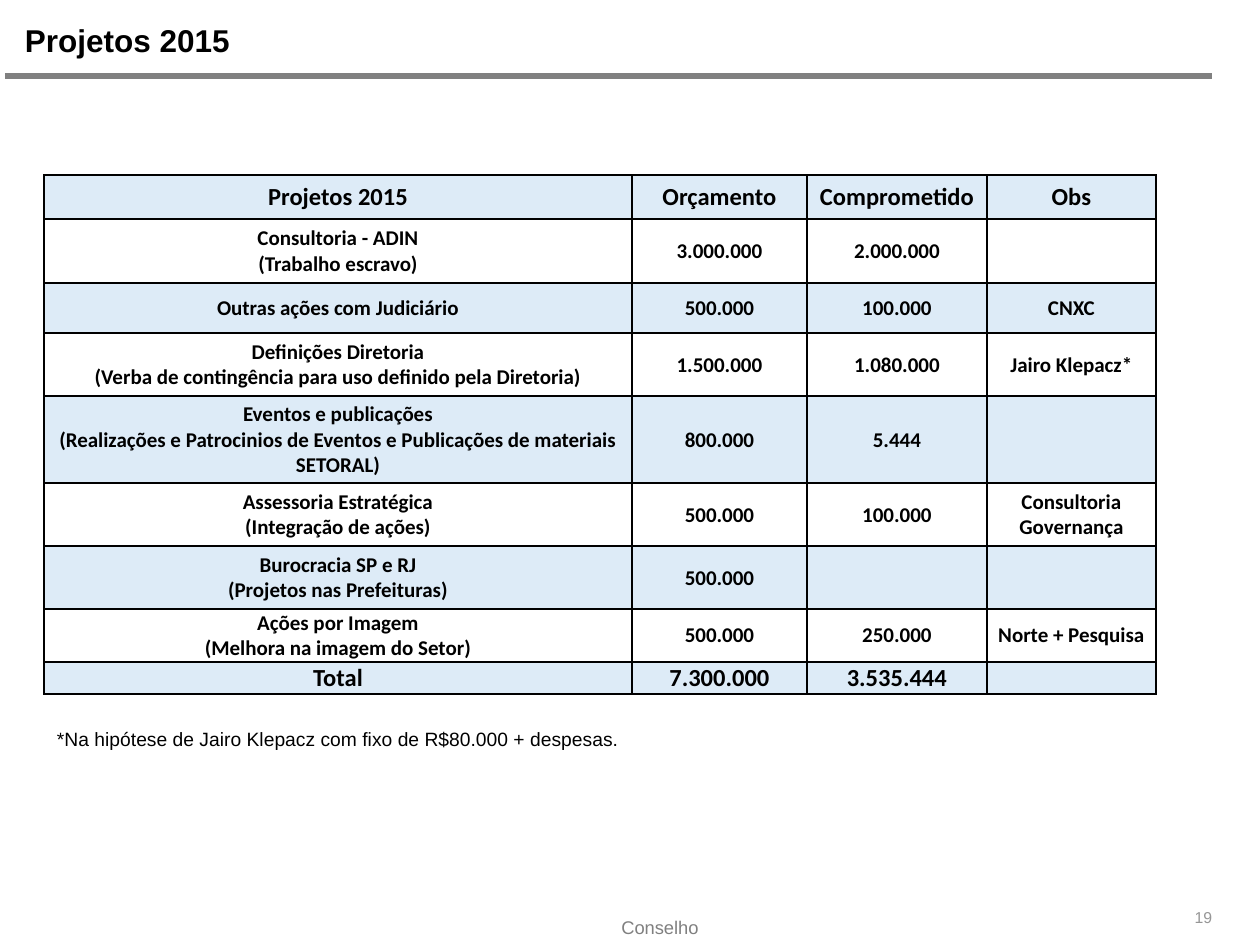
import pptx
import pptx.util
import pptx.dml.color
import pptx.enum.shapes
import pptx.enum.text
import pptx.oxml
import pptx.oxml.ns
from lxml import etree

RGB = pptx.dml.color.RGBColor
ALIGN = pptx.enum.text.PP_ALIGN
BLACK, WHITE = RGB(0, 0, 0), RGB(255, 255, 255)
GRAY, PALE = RGB(0x80, 0x80, 0x80), RGB(0x96, 0x96, 0x96)
BLUE = RGB(0xDD, 0xEB, 0xF7)

# Content; \v is a line break inside a paragraph
ROWS = [
    ("Projetos 2015", "Orçamento", "Comprometido", "Obs"),
    ("Consultoria - ADIN\v(Trabalho escravo)", "3.000.000", "2.000.000", ""),
    ("Outras ações com Judiciário", "500.000", "100.000", "CNXC"),
    ("Definições Diretoria\v(Verba de contingência para uso definido pela Diretoria)",
     "1.500.000", "1.080.000", "Jairo Klepacz*"),
    ("Eventos e publicações\v(Realizações e Patrocinios de Eventos e "
     "Publicações de materiais SETORAL)", "800.000", "5.444", ""),
    ("Assessoria Estratégica\v(Integração de ações)",
     "500.000", "100.000", "Consultoria Governança"),
    ("Burocracia SP e RJ\v(Projetos nas Prefeituras)", "500.000", "", ""),
    ("Ações por Imagem\v(Melhora na imagem do Setor)",
     "500.000", "250.000", "Norte + Pesquisa"),
    ("Total", "7.300.000", "3.535.444", ""),
]
WIDTHS = [588, 175, 180, 169]
HEIGHTS = [44, 64, 50, 63, 87, 63, 63, 53, 32]

# text, box, margins (side, top), size, colour, bold, alignment
TEXTS = [
    ("Projetos 2015", (25, 21, 1198, 44), (0, 0), 18, BLACK, True, ALIGN.LEFT),
    ("*Na hipótese de Jairo Klepacz com fixo de R$80.000 + despesas.",
     (44, 721, 893, 36), (13, 6), 11, BLACK, False, ALIGN.LEFT),
    ("19", (1007, 900, 218, 33), (13, 8), 9, PALE, False, ALIGN.RIGHT),
    ("Conselho", (551, 908, 218, 36), (13, 8), 10.5, GRAY, False, ALIGN.CENTER),
]


def px(n):
    return pptx.util.Emu(round(n * 914400 / 126))


def style(para, face, size, color, bold, align):
    para.alignment = align
    for run in para.runs:
        font = run.font
        font.name, font.size, font.bold = face, pptx.util.Pt(size), bold
        font.color.rgb = color


def border(cell):
    props = cell._tc.get_or_add_tcPr()
    for spot, side in enumerate(("lnL", "lnR", "lnT", "lnB")):
        props.insert(spot, pptx.oxml.parse_xml(
            f'<a:{side} {pptx.oxml.ns.nsdecls("a")} w="12700"><a:solidFill>'
            f'<a:srgbClr val="{BLACK}"/></a:solidFill></a:{side}>'))


deck = pptx.Presentation()
deck.slide_width, deck.slide_height = px(1260), px(945)
slide = deck.slides.add_slide(deck.slide_layouts[6])

# Rule under the title
rule = slide.shapes.add_connector(
    pptx.enum.shapes.MSO_CONNECTOR.STRAIGHT, px(5), px(76), px(1212), px(76))
rule.line.color.rgb = GRAY
rule.line.width = pptx.util.Pt(3.2)
etree.SubElement(rule._element.spPr, pptx.oxml.ns.qn("a:effectLst"))

# Title, note and footer
for text, box, (side, top), size, color, bold, align in TEXTS:
    frame = slide.shapes.add_textbox(*map(px, box)).text_frame
    frame.word_wrap = True
    frame.margin_left = frame.margin_right = px(side)
    frame.margin_top = frame.margin_bottom = px(top)
    frame.text = text
    style(frame.paragraphs[0], "Arial", size, color, bold, align)

# Project table
table = slide.shapes.add_table(
    len(ROWS), len(WIDTHS), px(44), px(175),
    px(sum(WIDTHS)), px(sum(HEIGHTS))).table
for col, width in zip(table.columns, WIDTHS):
    col.width = px(width)
for r, (row, height) in enumerate(zip(ROWS, HEIGHTS)):
    table.rows[r].height = px(height)
    size = 14 if r in (0, len(ROWS) - 1) else 12
    for c, text in enumerate(row):
        cell = table.cell(r, c)
        cell.fill.solid()
        cell.fill.fore_color.rgb = WHITE if r % 2 else BLUE
        cell.vertical_anchor = pptx.enum.text.MSO_ANCHOR.MIDDLE
        cell.margin_left = cell.margin_right = cell.margin_top = px(1)
        cell.margin_bottom = 0
        border(cell)
        cell.text_frame.text = text
        para = cell.text_frame.paragraphs[0]
        style(para, "Calibri", size, BLACK, True, ALIGN.CENTER)
        if not text:  # keeps an empty cell from stretching its row
            etree.SubElement(para._p, pptx.oxml.ns.qn("a:endParaRPr"),
                             sz=str(size * 100))

deck.save("out.pptx")
